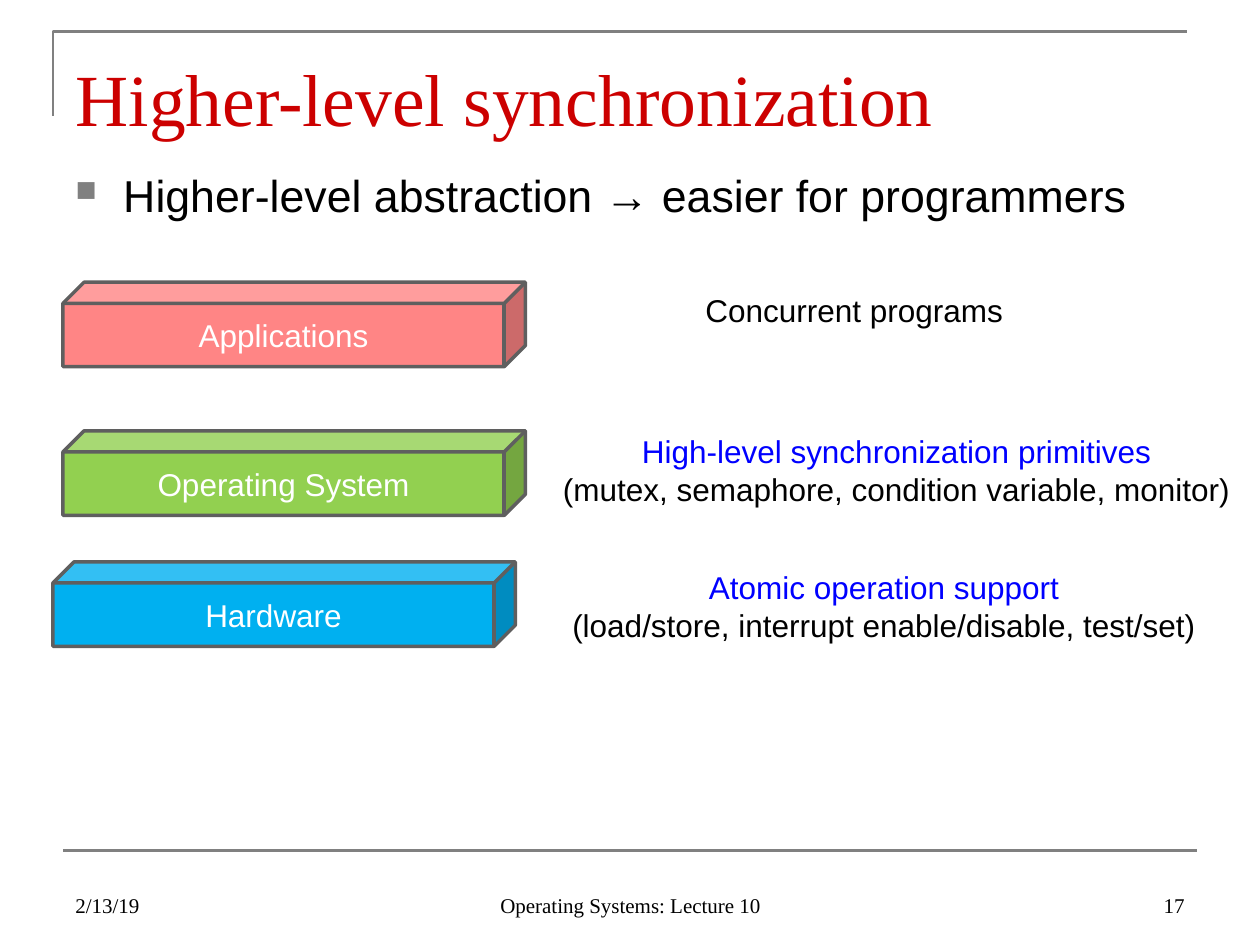
from lxml import etree
from pptx import Presentation
from pptx.dml.color import RGBColor
from pptx.enum import shapes, text
from pptx.oxml import ns
from pptx.util import Inches, Pt

SERIF, SANS = "Times New Roman", "Arial"
LEFT, CENTER, RIGHT = text.PP_ALIGN.LEFT, text.PP_ALIGN.CENTER, text.PP_ALIGN.RIGHT


def rgb(value):
    return RGBColor.from_string(value)


def write(sp, lines, font, size, align=LEFT, anchor=text.MSO_ANCHOR.TOP, wrap=True):
    """Fill a shape with (text, colour) lines, one paragraph each."""
    tf = sp.text_frame
    tf.text = "\n".join(line for line, _ in lines)
    tf.word_wrap = wrap
    tf.auto_size = text.MSO_AUTO_SIZE.NONE if wrap else text.MSO_AUTO_SIZE.SHAPE_TO_FIT_TEXT
    tf.vertical_anchor = anchor
    for p, (_, color) in zip(tf.paragraphs, lines):
        p.alignment = align
        for r in p.runs:
            r.font.name, r.font.size = font, Pt(size)
            r.font.color.rgb = rgb(color)


prs = Presentation()
prs.slide_width, prs.slide_height = Inches(10), Inches(7.5)
s = prs.slides.add_slide(prs.slide_layouts[5])

# Frame lines
fb = s.shapes.build_freeform(Inches(0.42), Inches(0.92))
fb.add_line_segments([(Inches(0.42), Inches(0.25)), (Inches(9.42), Inches(0.25))], close=False)
corner = fb.convert_to_shape()
corner.fill.background()
corner.shadow.inherit = False
rule = s.shapes.add_connector(shapes.MSO_CONNECTOR.STRAIGHT,
                              Inches(0.5), Inches(6.75), Inches(9.5), Inches(6.75))
etree.SubElement(rule._element.spPr, ns.qn("a:effectLst"))
for sp in (corner, rule):
    sp.line.color.rgb = rgb("808080")
    sp.line.width = Pt(1.5)

# Title
title = s.shapes.title
title.left, title.top, title.width, title.height = map(Inches, (0.5, 0.3, 9, 0.78))
write(title, [("Higher-level synchronization", "CC0000")], SERIF, 42)
title.text_frame.margin_top = Inches(0.12)

# Bullet
body = s.shapes.add_textbox(Inches(0.5), Inches(1.25), Inches(9), Inches(0.75))
write(body, [("Higher-level abstraction → easier for programmers", "000000")], SANS, 25.5)
body.text_frame.margin_top = Inches(0.08)
pPr = body.text_frame.paragraphs[0]._p.get_or_add_pPr()
pPr.set("marL", str(Inches(0.38)))
pPr.set("indent", str(-Inches(0.38)))
bu_clr = etree.SubElement(pPr, ns.qn("a:buClr"))
etree.SubElement(bu_clr, ns.qn("a:srgbClr"), val="808080")
etree.SubElement(pPr, ns.qn("a:buSzPct"), val="65000")
etree.SubElement(pPr, ns.qn("a:buChar"), char="■")

# Footer
for label, left, width, align in (("2/13/19", 0.5, 2.33, LEFT),
                                  ("Operating Systems: Lecture 10", 3.42, 3.17, CENTER),
                                  ("17", 7.17, 2.33, RIGHT)):
    sp = s.shapes.add_textbox(Inches(left), Inches(6.83), Inches(width), Inches(0.5))
    write(sp, [(label, "000000")], SERIF, 12, align, text.MSO_ANCHOR.BOTTOM)

# System layers
for label, left, top, color in (("Hardware", 0.42, 4.46, "00B0F0"),
                                ("Operating System", 0.5, 3.42, "92D050"),
                                ("Applications", 0.5, 2.24, "FF8585")):
    cube = s.shapes.add_shape(shapes.MSO_SHAPE.CUBE, Inches(left), Inches(top),
                              Inches(3.67), Inches(0.67))
    cube.shadow.inherit = False
    cube.fill.solid()
    cube.fill.fore_color.rgb = rgb(color)
    cube.line.color.rgb = rgb("5F5F5F")
    cube.line.width = Pt(2)
    write(cube, [(label, "FFFFFF")], SANS, 18, CENTER, text.MSO_ANCHOR.MIDDLE)

# What each layer offers
for lines, left, top, width, height, align in (
        ([("Concurrent programs", "000000")], 5.5, 2.26, 2.59, 0.4, LEFT),
        ([("High-level synchronization primitives", "0000FF"),
          ("(mutex, semaphore, condition variable, monitor)", "000000")],
         4.34, 3.38, 5.55, 0.71, CENTER),
        ([("Atomic operation support", "0000FF"),
          ("(load/store, interrupt enable/disable, test/set)", "000000")],
         4.42, 4.46, 5.19, 0.71, CENTER)):
    sp = s.shapes.add_textbox(Inches(left), Inches(top), Inches(width), Inches(height))
    write(sp, lines, SANS, 18, align, wrap=False)

prs.save("out.pptx")
